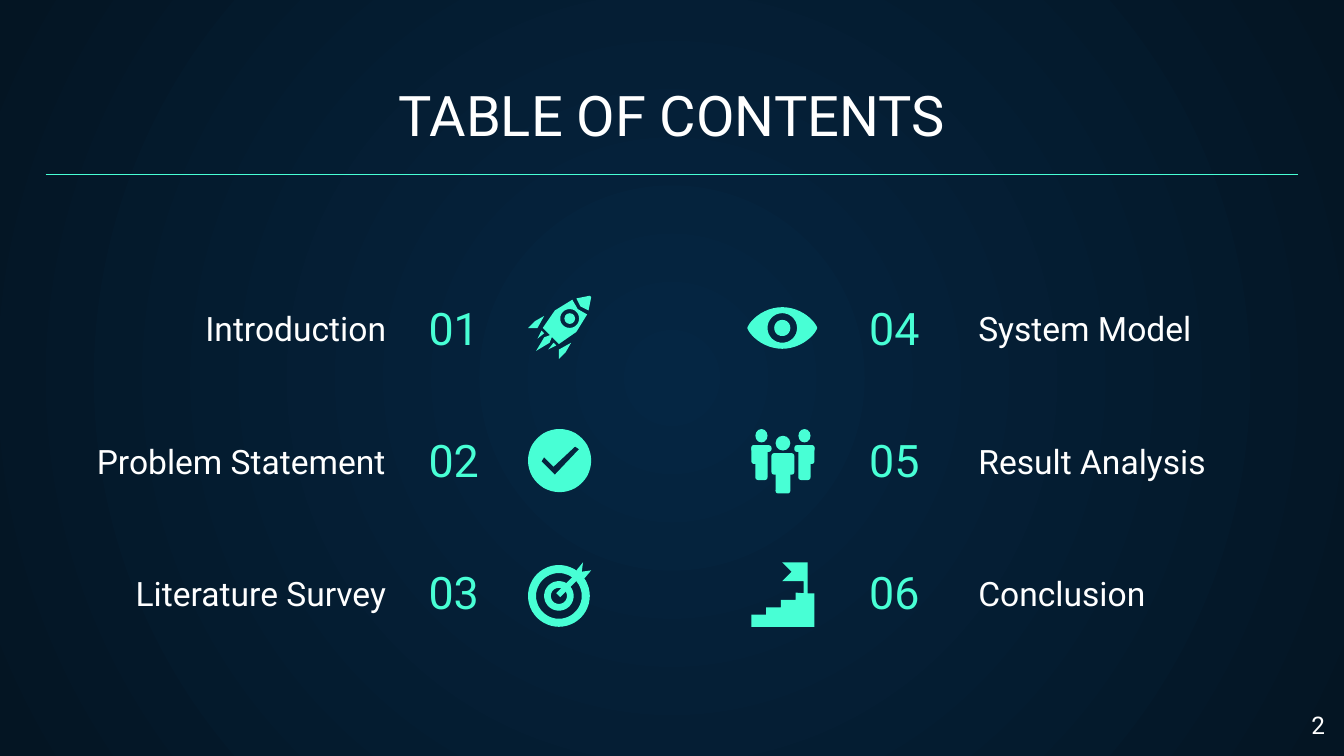
from math import cos, pi, sin

from lxml import etree
from pptx import Presentation
from pptx.dml.color import RGBColor
from pptx.enum.shapes import MSO_CONNECTOR, MSO_SHAPE
from pptx.enum.text import MSO_ANCHOR, MSO_AUTO_SIZE, PP_ALIGN
from pptx.oxml.ns import qn
from pptx.util import Cm, Pt

LEFT, CENTER, RIGHT = PP_ALIGN.LEFT, PP_ALIGN.CENTER, PP_ALIGN.RIGHT
TOP, BOTTOM = MSO_ANCHOR.TOP, MSO_ANCHOR.BOTTOM
NO_FIT = MSO_AUTO_SIZE.NONE
OVAL, ROUNDED = MSO_SHAPE.OVAL, MSO_SHAPE.ROUNDED_RECTANGLE
STRAIGHT = MSO_CONNECTOR.STRAIGHT
FONT, WHITE, MINT = "Roboto", "FFFFFF", "48FFD5"
GRID = Cm(0.0254)
FINE = 10
SIDE = 47


def rgb(value):
    """Return the colour for a hex string."""
    return RGBColor.from_string(value)


def paint_background(s):
    """Fill the slide with a round gradient."""
    fill = s.background.fill
    fill.gradient()
    for stop, position, color in zip(fill.gradient_stops, (0, 1), ("052643", "041523")):
        stop.position = position
        stop.color.rgb = rgb(color)
    grad = s.element.find(".//" + qn("a:gradFill"))
    grad.remove(grad.find(qn("a:lin")))
    ring = etree.SubElement(grad, qn("a:path"), {"path": "circle"})
    etree.SubElement(ring, qn("a:fillToRect"), dict.fromkeys("ltrb", "50000"))


def set_text(sp, box, text, size, color, align, anchor=BOTTOM):
    """Place a text shape and format its one line."""
    sp.left, sp.top, sp.width, sp.height = (Cm(v) for v in box)
    tf = sp.text_frame
    tf.text = text
    tf.word_wrap = True
    tf.auto_size = NO_FIT
    tf.vertical_anchor = anchor
    tf.margin_left = tf.margin_right = tf.margin_top = tf.margin_bottom = Cm(0.25)
    p = tf.paragraphs[0]
    p.alignment = align
    font = p.runs[0].font
    font.name, font.size, font.color.rgb = FONT, Pt(size), rgb(color)


def add_text(s, box, *style):
    """Add a text box with one formatted line."""
    set_text(s.shapes.add_textbox(0, 0, 0, 0), box, *style)


def add_rule(s):
    """Add the line under the title."""
    line = s.shapes.add_connector(STRAIGHT, Cm(0.86), Cm(3.3), Cm(24.54), Cm(3.3))
    line.line.color.rgb = rgb(MINT)
    line.line.width = Pt(0.75)
    etree.SubElement(line.element.spPr, qn("a:effectLst"))


def lens(x, y, a, b, power):
    """Return a closed curve, round for power 1 and pointed above it."""
    angles = [2 * pi * i / 48 for i in range(48)]
    return [(x + a * cos(t), y + b * sin(t) * abs(sin(t)) ** (power - 1)) for t in angles]


def circle(x, y, r):
    """Return the points of a circle."""
    return lens(x, y, r, r, 1)


def flip(points):
    """Return points mirrored across the rocket's axis."""
    return [(SIDE - y, SIDE - x) for x, y in reversed(points)]


def paint(sp):
    """Give an icon part its plain fill."""
    sp.shadow.inherit = False
    sp.fill.solid()
    sp.fill.fore_color.rgb = rgb(MINT)
    sp.line.fill.background()


def add_outline(shapes, at, *contours):
    """Add one freeform whose inner contours are holes."""
    first, *holes = [[(x * FINE, y * FINE) for x, y in c] for c in contours]
    builder = shapes.build_freeform(*first[0], scale=GRID / FINE)
    builder.add_line_segments(first[1:])
    for points in holes:
        builder.move_to(*points[0])
        builder.add_line_segments(points[1:])
    paint(builder.convert_to_shape(*at))


def add_preset(shapes, at, kind, x, y, w, h):
    """Add an oval or a softly rounded bar on the icon grid."""
    sp = shapes.add_shape(kind, at[0] + int(x * GRID), at[1] + int(y * GRID),
                          int(w * GRID), int(h * GRID))
    if kind == ROUNDED:
        sp.adjustments[0] = 2 / min(w, h)
    paint(sp)


def add_rocket(shapes, at):
    """Draw a rocket from halves mirrored across its axis."""
    half = [(11, 24), (20, 11), (33, 3), (37, 10)]
    fin = [(12, 15), (5, 19), (0, 24), (7, 24)]
    spark = [(10, 26), (7, 32), (12, 28)]
    flame = [(17, 29), (12, 31), (6, 41)]
    cap = [(36, 2), (46, 0)]
    add_outline(shapes, at, half + flip(half), circle(31, 17, 7))
    add_preset(shapes, at, OVAL, 27, 13, 8, 8)
    for points in (fin, flip(fin), spark, flip(spark), flame + flip(flame),
                   cap + flip(cap) + [(39, 8)]):
        add_outline(shapes, at, points)


def add_check(shapes, at):
    """Draw a disc with a tick cut out."""
    tick = [(35, 13), (38, 15), (20, 34), (10, 24), (12, 21), (19, 28)]
    add_outline(shapes, at, circle(23.5, 23.5, 23.5), tick)


def add_target(shapes, at):
    """Draw rings with an arrow in the middle."""
    add_outline(shapes, at, *[circle(23, 25, r) for r in (23, 17, 11, 6)])
    add_outline(shapes, at, [(41, 0), (36, 6), (36, 8), (21, 23), (24, 26),
                             (39, 11), (42, 12), (47, 6), (40, 7)])


def add_eye(shapes, at):
    """Draw an eye with a pupil."""
    add_outline(shapes, at, lens(23, 24, 26, 15.5, 1.5), circle(23, 24, 11), circle(23, 24, 6))


def add_people(shapes, at):
    """Draw two people beside a third in front."""
    for kind, x, y, w, h in ((OVAL, 3, 0, 9, 10), (ROUNDED, 0, 12, 11, 14),
                             (ROUNDED, 3, 12, 9, 26), (ROUNDED, 0, 12, 15, 5)):
        for left in (x, SIDE - x - w):
            add_preset(shapes, at, kind, left, y, w, h)
    for kind, x, y, w, h in ((OVAL, 18, 5, 11, 11), (ROUNDED, 15, 18, 17, 16),
                             (ROUNDED, 18, 18, 11, 30)):
        add_preset(shapes, at, kind, x, y, w, h)


def add_stairs(shapes, at):
    """Draw four steps with a flag on the last."""
    steps = [(11 * (i + side), 39 - 5.5 * i) for i in range(4) for side in (0, 1)]
    flag = [(42, 23), (42, 0), (23, 0), (30, 7), (23, 14), (39, 14), (39, 23)]
    add_outline(shapes, at, steps[:-1] + flag[::-1] + [(SIDE, 23), (SIDE, 48), (0, 48)])


COLUMNS = [
    (7.85, 9.98, LEFT, RIGHT, [("Introduction", 1.78, 5.77, add_rocket),
                               ("Problem Statement", 0.86, 6.68, add_check),
                               ("Literature Survey", 1.78, 5.77, add_target)]),
    (14.35, 14.2, RIGHT, LEFT, [("System Model", 18.24, 5.77, add_eye),
                                ("Result Analysis", 18.24, 5.77, add_people),
                                ("Conclusion", 18.24, 5.77, add_stairs)]),
]


def main():
    """Build and save the contents slide."""
    prs = Presentation()
    prs.slide_width, prs.slide_height = Cm(25.4), Cm(14.29)
    s = prs.slides.add_slide(prs.slide_layouts[5])
    paint_background(s)
    set_text(s.shapes.title, (0.86, 1.37, 23.67, 1.68), "TABLE OF CONTENTS", 30, WHITE, CENTER)
    add_rule(s)
    number = 0
    for number_left, icon_left, number_align, label_align, rows in COLUMNS:
        for i, (label, left, width, draw_icon) in enumerate(rows):
            number += 1
            add_text(s, (number_left, 5.28 + 2.49 * i, 3.28, 1.68),
                     f"{number:02}", 24, MINT, number_align)
            add_text(s, (left, 5.56 + 2.51 * i, width, 1.27), label, 18, WHITE, label_align)
            draw_icon(s.shapes.add_group_shape().shapes, (Cm(icon_left), Cm(5.59 + 2.52 * i)))
    add_text(s, (23.77, 13.18, 1.52, 1.09), "2", 13, WHITE, RIGHT, TOP)
    prs.save("out.pptx")


if __name__ == "__main__":
    main()
